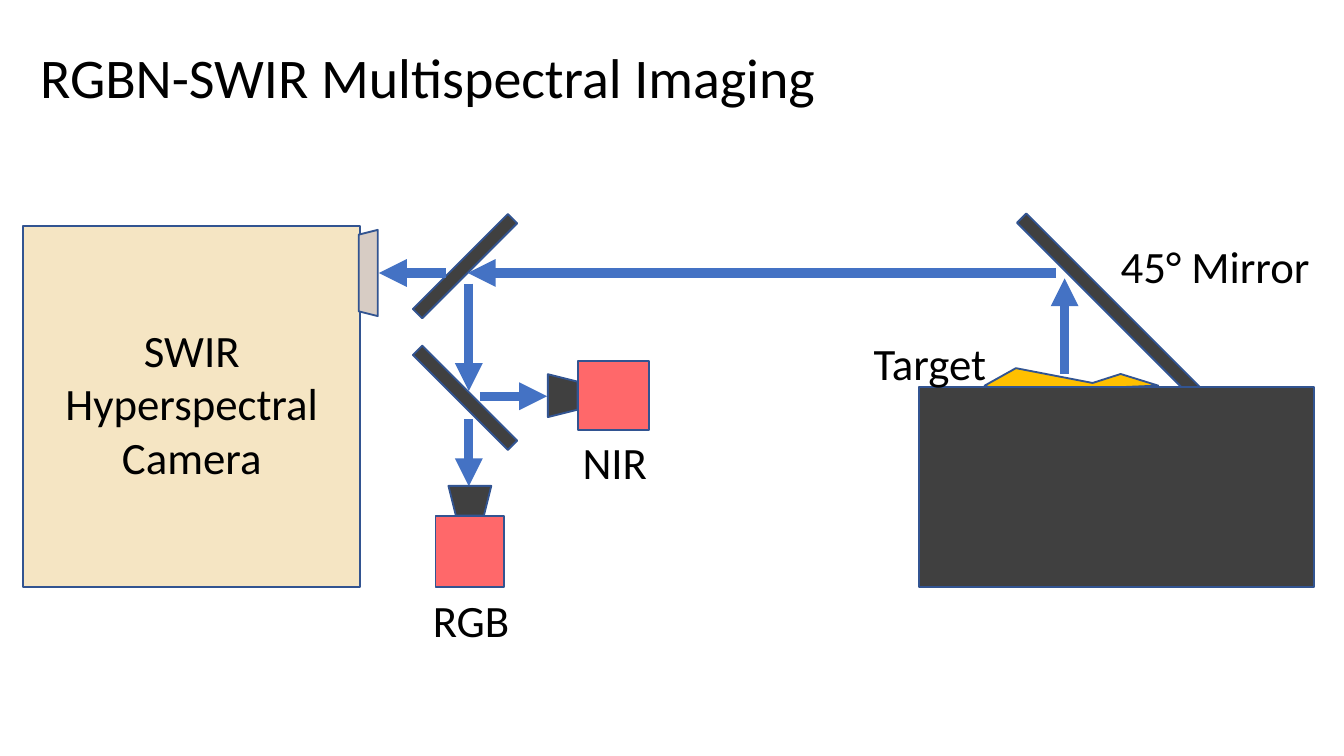
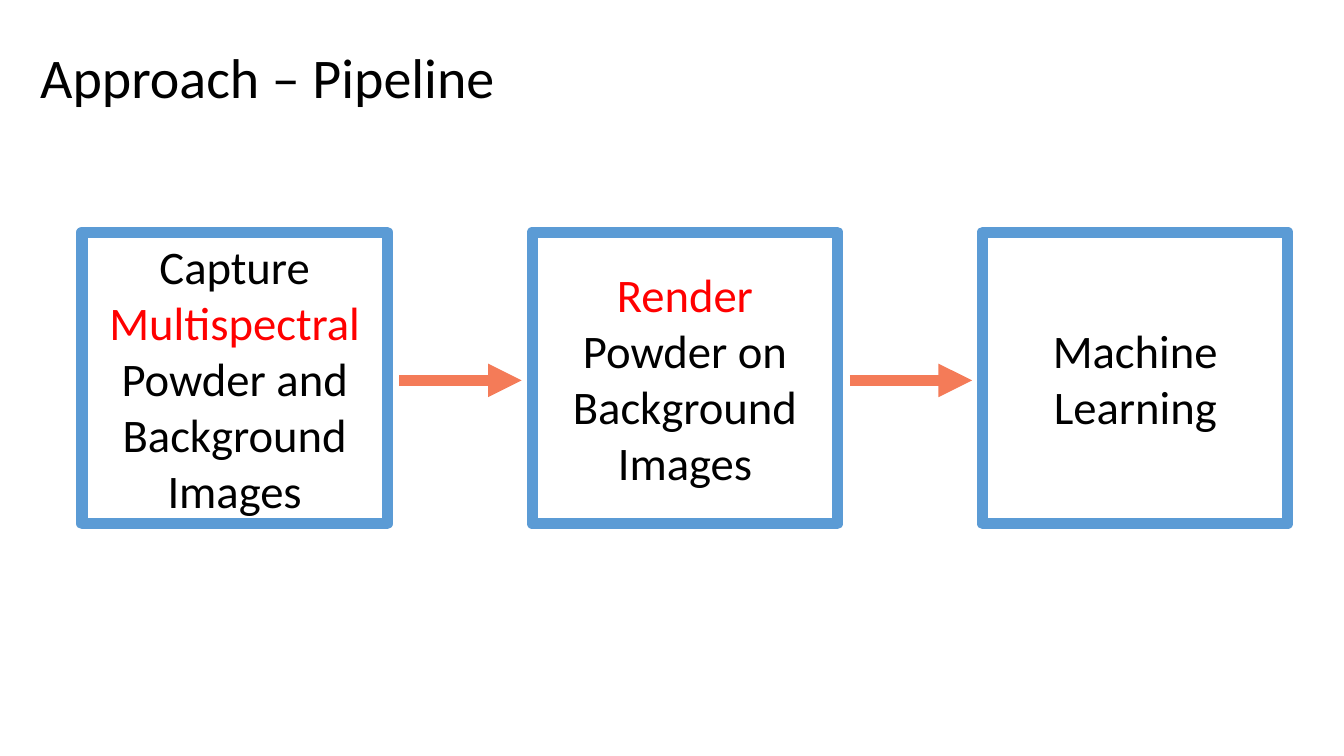
from dataclasses import dataclass

from lxml.etree import SubElement
from pptx import Presentation
from pptx.dml.color import RGBColor
from pptx.enum.shapes import MSO_CONNECTOR, MSO_SHAPE
from pptx.enum.text import MSO_ANCHOR, MSO_AUTO_SIZE, PP_ALIGN
from pptx.oxml.ns import qn
from pptx.util import Cm, Pt


@dataclass(frozen=True)
class Theme:
    """Colours, font and type sizes of the deck."""
    font: str = "Calibri"
    ink: str = "000000"
    paper: str = "FFFFFF"
    red: str = "FF0000"
    dark: str = "404040"
    edge: str = "325491"
    beam: str = "4472C4"
    cream: str = "F5E5C3"
    lens: str = "D7CCC4"
    coral: str = "FF686A"
    gold: str = "FFC000"
    frame: str = "5B9BD5"
    flow: str = "F47B58"
    head: int = 30
    step: int = 25
    label: int = 24


T = Theme()


def hue(code):
    """Turn a hex code into a colour."""
    return RGBColor.from_string(code)


def write(frame, paras, size=T.label, align=PP_ALIGN.LEFT,
          anchor=MSO_ANCHOR.TOP, wrap=False, space=None):
    """Fill a text frame; each paragraph is a list of (text, colour) runs."""
    frame.word_wrap = wrap
    frame.auto_size = MSO_AUTO_SIZE.NONE if wrap else MSO_AUTO_SIZE.SHAPE_TO_FIT_TEXT
    frame.vertical_anchor = anchor
    for i, runs in enumerate(paras):
        para = frame.add_paragraph() if i else frame.paragraphs[0]
        para.alignment = align
        if space:
            para.line_spacing = space
        for text, code in runs:
            run = para.add_run()
            run.text = text
            run.font.name = T.font
            run.font.size = Pt(size)
            run.font.color.rgb = hue(code)


def note(slide, box, *lines, **form):
    """Add a text box with one paragraph for each line."""
    area = slide.shapes.add_textbox(*map(Cm, box))
    write(area.text_frame, [[(line, T.ink)] for line in lines], **form)


def paint(shape, fill, edge=T.edge, width=1):
    """Set fill and outline, and drop the shadow."""
    shape.shadow.inherit = False
    shape.fill.solid()
    shape.fill.fore_color.rgb = hue(fill)
    shape.line.color.rgb = hue(edge)
    shape.line.width = Pt(width)
    return shape


def block(slide, mid, size, fill, kind=MSO_SHAPE.RECTANGLE, turn=0, **line):
    """Add a shape around its centre, turned by some degrees."""
    (x, y), (w, h) = mid, size
    shape = slide.shapes.add_shape(kind, Cm(x - w / 2), Cm(y - h / 2), Cm(w), Cm(h))
    shape.rotation = turn
    return paint(shape, fill, **line)


def arrow(slide, start, end, code=T.beam, width=5):
    """Add a straight arrow that points at its end."""
    line = slide.shapes.add_connector(MSO_CONNECTOR.STRAIGHT, *map(Cm, (*start, *end)))
    line.line.color.rgb = hue(code)
    line.line.width = Pt(width)
    props = line._element.spPr
    SubElement(props.find(qn("a:ln")), qn("a:tailEnd"), type="triangle")
    SubElement(props, qn("a:effectLst"))


def title(slide, box, text):
    """Add the slide title."""
    note(slide, box, text, size=T.head, anchor=MSO_ANCHOR.MIDDLE, wrap=True, space=0.9)


def stage(slide, box):
    """Draw the target on its stand below the slanted mirror."""
    x, y, w, h = box
    rim = [(1.24, -0.03), (1.83, -0.36), (3.28, -0.08), (3.81, -0.25),
           (4.52, -0.03), (2.57, 0.05), (2.03, 0.03), (1.45, 0.05)]
    first, *rest = [(Cm(x + dx), Cm(y + dy)) for dx, dy in rim]
    pen = slide.shapes.build_freeform(*first)
    pen.add_line_segments(rest, close=True)
    paint(pen.convert_to_shape(), T.gold)
    block(slide, (x + w / 2, y - 1.4), (5.08, 0.25), T.dark, turn=45)
    block(slide, (x + w / 2, y + h / 2), (w, h), T.dark)
    arrow(slide, (x + 2.75, y - 0.26), (x + 2.75, y - 2.06))
    note(slide, (x + 3.56, y - 2.93, 4.14, 1.27), "45° Mirror")
    note(slide, (x - 1.11, y - 1.1, 2.67, 1.42), "Target")


def optics(slide, box):
    """Draw the two beam splitters and the light between them."""
    x, y, w, h = box
    for dy, turn in ((0.97, 315), (3.46, 45)):
        block(slide, (x + 1.63, y + dy), (2.54, 0.25), T.dark, turn=turn)
    beams = [(w, 1.1, 1.68, 1.1), (1.27, 1.1, 0, 1.1), (1.7, 1.3, 1.7, 3.33),
             (1.7, 3.86, 1.7, h), (1.91, 3.43, 3.18, 3.43)]
    for ax, ay, bx, by in beams:
        arrow(slide, (x + ax, y + ay), (x + bx, y + by))


def scanner(slide, box):
    """Draw the large camera with its lens and name."""
    x, y, w, h = box
    block(slide, (x + w / 2, y + h / 2), (w, h), T.cream)
    block(slide, (x + w + 0.15, y + 0.89), (1.63, 0.36), T.lens,
          kind=MSO_SHAPE.TRAPEZOID, turn=270)
    note(slide, (x + 0.53, y + 1.7, 5.33, 3.33), "SWIR", "Hyperspectral", "Camera",
         align=PP_ALIGN.CENTER)


def sensor(slide, box, name, wide, up=False):
    """Draw a small camera that looks left or up, its name below."""
    x, y, w, h = box
    mid = x + w / 2, y + h / 2
    turn = 90 if up else 0
    tip = (mid[0], mid[1] - 0.96) if up else (mid[0] - 0.96, mid[1])
    block(slide, mid, (1.35, 1.3), T.coral, turn=turn)
    block(slide, tip, (0.81, 0.56), T.dark, kind=MSO_SHAPE.TRAPEZOID, turn=turn + 90)
    note(slide, (mid[0] + 0.04 - wide / 2, y + h - 0.03, wide, 1.27), name)


def flow(slide, box, steps):
    """Draw equal step boxes across the box, joined by arrows."""
    x, y, w, h = box
    side = 5.77
    pitch = (w - side) / (len(steps) - 1)
    for i, paras in enumerate(steps):
        left = x + i * pitch
        card = block(slide, (left + side / 2, y + h / 2), (side, h), T.paper,
                     edge=T.frame, width=6)
        write(card.text_frame, paras, size=T.step, align=PP_ALIGN.CENTER,
              anchor=MSO_ANCHOR.MIDDLE, wrap=True)
        if i:
            arrow(slide, (left - pitch + side + 0.23, y + 2.8), (left - 0.2, y + 2.8),
                  code=T.flow, width=6)


def main():
    """Build both slides and save the deck."""
    deck = Presentation()
    deck.slide_width, deck.slide_height = Cm(25.4), Cm(14.29)
    names = "RGBN-SWIR Multispectral Imaging", "Approach – Pipeline"
    pages = []
    for name in names:
        pages.append(deck.slides.add_slide(deck.slide_layouts[6]))
        title(pages[-1], (0.51, 0.13, 24.13, 2.77), name)
    setup, plan = pages

    stage(setup, (17.37, 7.32, 7.47, 3.78))
    optics(setup, (7.16, 4.06, 12.8, 5.13))
    scanner(setup, (0.43, 4.27, 6.38, 6.83))
    sensor(setup, (10.92, 6.83, 1.35, 1.3), "NIR", 1.75)
    sensor(setup, (8.23, 9.75, 1.3, 1.35), "RGB", 1.98, up=True)

    flow(plan, (1.55, 4.39, 22.79, 5.51), [
        [[("Capture ", T.ink), ("Multispectral", T.red)],
         [("Powder and Background Images", T.ink)]],
        [[("Render", T.red)], [("Powder on Background Images", T.ink)]],
        [[("Machine", T.ink)], [("Learning", T.ink)]],
    ])
    deck.save("out.pptx")


if __name__ == "__main__":
    main()
